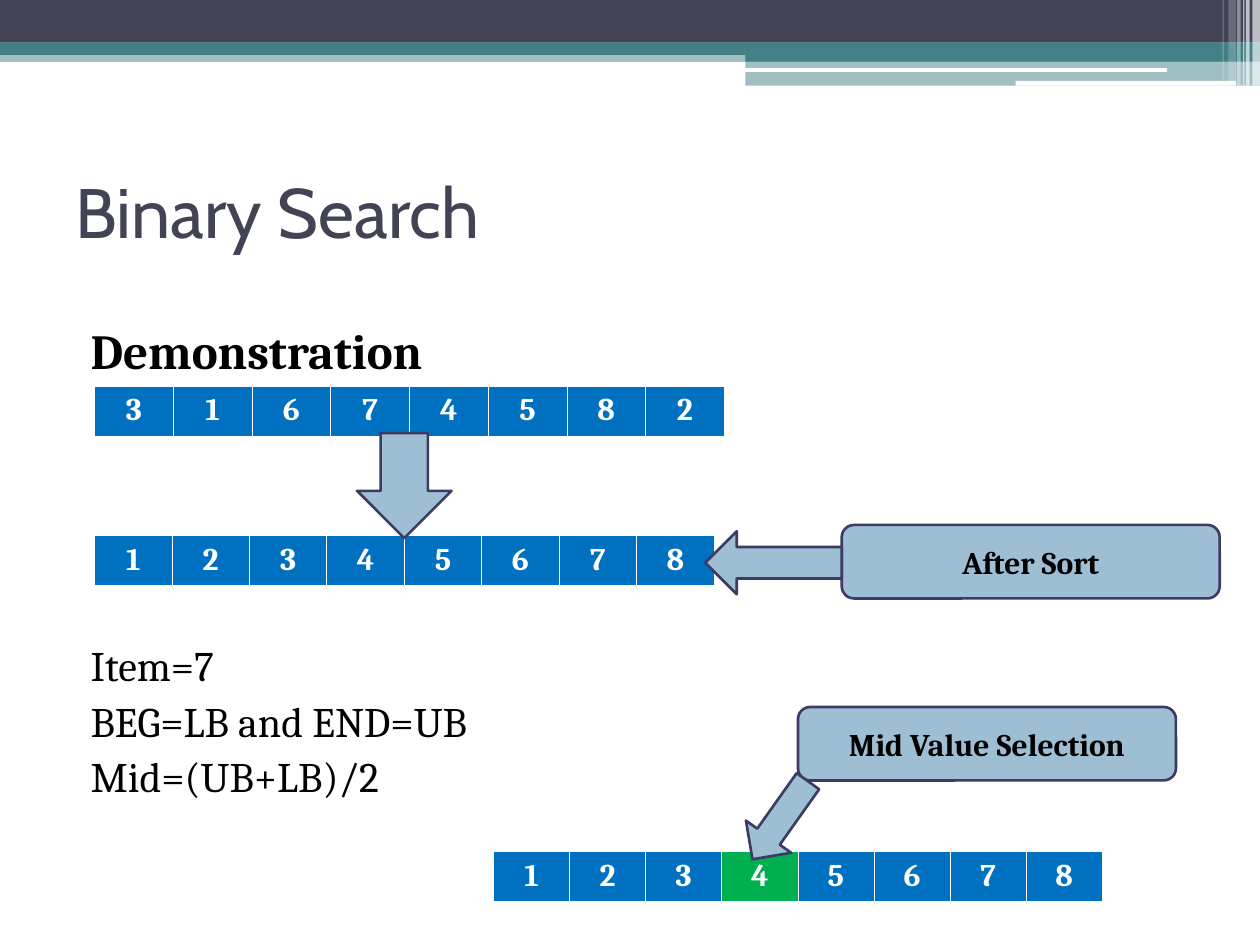
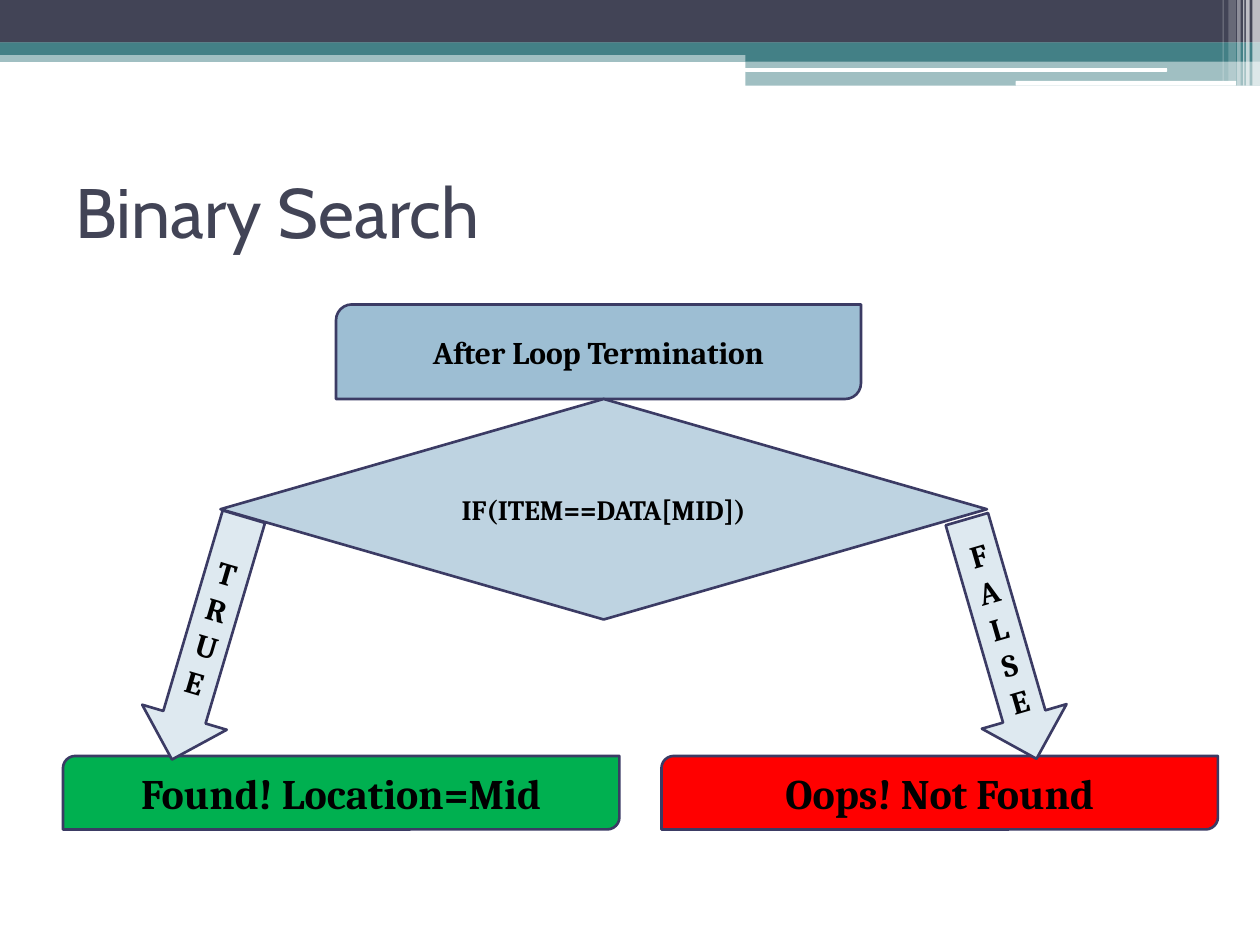
"""Build two slides that demonstrate binary search."""
from lxml import etree
from pptx import Presentation
from pptx.dml.color import RGBColor
from pptx.enum.shapes import MSO_SHAPE
from pptx.enum.text import MSO_ANCHOR, PP_ALIGN
from pptx.oxml.ns import qn
from pptx.util import Pt

RECT, ROUND = MSO_SHAPE.RECTANGLE, MSO_SHAPE.ROUNDED_RECTANGLE
DIAGONAL, DIAMOND = MSO_SHAPE.ROUND_2_DIAG_RECTANGLE, MSO_SHAPE.DIAMOND
DOWN, LEFT_ARROW = MSO_SHAPE.DOWN_ARROW, MSO_SHAPE.LEFT_ARROW
LEFT, CENTER = PP_ALIGN.LEFT, PP_ALIGN.CENTER
TOP, MIDDLE = MSO_ANCHOR.TOP, MSO_ANCHOR.MIDDLE

WHITE = RGBColor(0xFF, 0xFF, 0xFF)
BLACK = RGBColor(0x00, 0x00, 0x00)
SLATE = RGBColor(0x42, 0x44, 0x56)
TEAL = RGBColor(0x43, 0x80, 0x86)
NAVY = RGBColor(0x3B, 0x3B, 0x64)
BLUE = RGBColor(0x00, 0x70, 0xC0)
GREEN = RGBColor(0x00, 0xB0, 0x50)
RED = RGBColor(0xFF, 0x00, 0x00)
STEEL = RGBColor(0x9D, 0xBE, 0xD3)
PALE = RGBColor(0xBE, 0xD3, 0xE1)
MIST = RGBColor(0xDE, 0xE9, 0xF0)

TITLE = "Binary Search"
TITLE_FONT, BODY_FONT = "Cabin", "Cambria"
TITLE_BOX = (36, 78, 648, 84)

# kind, (left, top, width, height), fill, opacity in percent
BANDS = [
    (RECT, (0, 28.8, 720, 6.6), TEAL, 50),
    (RECT, (0, 0, 720, 24.4), SLATE, 100),
    (RECT, (0, 24.3, 720, 7.1), TEAL, 100),
    (RECT, (426, 28.3, 294, 6.8), TEAL, 100),
    (RECT, (426, 34.8, 294, 14.1), TEAL, 50),
    (ROUND, (425.7, 38.9, 241.2, 2.2), WHITE, 100),
    (ROUND, (580.4, 46.2, 126, 2.7), WHITE, 100),
    (RECT, (715.6, 0, 4.4, 48.9), WHITE, 65),
    (RECT, (712, 0, 2.1, 48.9), WHITE, 65),
    (RECT, (710.4, 0, 0.72, 48.9), WHITE, 60),
    (RECT, (706.9, 0, 2.1, 48.9), WHITE, 40),
    (RECT, (702, 0, 4.3, 46.2), WHITE, 20),
    (RECT, (698.6, 0, 0.72, 46.2), WHITE, 30),
]

# lines, (left, top, width, height), size, bold
NOTES = [
    (["Demonstration"], (51.8, 183, 400, 36), 28, True),
    (["Item=7", "BEG=LB and END=UB", "Mid=(UB+LB)/2"],
     (51.8, 365.5, 400, 96), 24, False),
]

# digits, left, top, cell width, highlighted digit
ARRAYS = [
    ("31674582", 54, 220.7, 45, None),
    ("12345678", 54, 306, 44.25, None),
    ("12345678", 282, 486.6, 43.5, "4"),
]
ROW_HEIGHT = 29.2

# kind, (left, top, width, height), fill, rotation, text, size
DEMO_SHAPES = [
    (ROUND, (481, 300, 216, 42), STEEL, 0, "After Sort", 18),
    (DOWN, (204, 247.5, 54, 60), STEEL, 0, "", 18),
    (LEFT_ARROW, (403, 303.6, 78, 36), STEEL, 0, "", 18),
    (ROUND, (456, 404, 216, 42), STEEL, 0, "Mid Value Selection", 18),
    (DOWN, (430, 441.4, 31.7, 54.7), STEEL, 35.4, "", 18),
]
RESULT_SHAPES = [
    (DIAGONAL, (192, 174, 300, 54), STEEL, 0, "After Loop Termination", 18),
    (DIAGONAL, (36, 432, 318, 42), GREEN, 0, "Found! Location=Mid", 24),
    (DIAMOND, (126, 228, 438, 126), PALE, 0, "IF(ITEM==DATA[MID])", 16),
    (DIAGONAL, (378, 432, 318, 42), RED, 0, "Oops! Not Found", 24),
    (DOWN, (93.6, 292.3, 50.4, 144.7), MIST, 16.5, "TRUE", 18),
    (DOWN, (547.2, 293.8, 50.4, 142.6), MIST, 343.8, "FALSE", 18),
]


def write(tf, lines, size=18, bold=True, color=BLACK, font=BODY_FONT,
          align=CENTER, anchor=MIDDLE, gap=0):
    """Fill a text frame with one paragraph per line."""
    tf.word_wrap = True
    tf.vertical_anchor = anchor
    for i, line in enumerate(lines):
        p = tf.add_paragraph() if i else tf.paragraphs[0]
        p.alignment = align
        p.space_before = Pt(gap if i else 0)
        r = p.add_run()
        r.text = line
        r.font.name, r.font.size, r.font.bold = font, Pt(size), bold
        r.font.color.rgb = color


def add_shape(slide, kind, box, fill, line=None):
    """Add a flat shape with an optional outline."""
    sp = slide.shapes.add_shape(kind, *map(Pt, box))
    sp.shadow.inherit = False
    sp.fill.solid()
    sp.fill.fore_color.rgb = fill
    if line is None:
        sp.line.fill.background()
    else:
        sp.line.color.rgb = line
        sp.line.width = Pt(1.5)
    return sp


def add_bands(slide, layout):
    """Draw the top bands and move them to the shared layout."""
    bands = []
    for kind, box, fill, opacity in BANDS:
        sp = add_shape(slide, kind, box, fill)
        if opacity < 100:
            clr = sp.element.spPr.find(qn("a:solidFill"))[0]
            etree.SubElement(clr, qn("a:alpha"), val=str(opacity * 1000))
        bands.append(sp.element)
    for band in bands:
        layout.shapes.element.append(band)


def add_titled_slide(prs, layout):
    """Add a slide with its formatted title."""
    slide = prs.slides.add_slide(layout)
    title = slide.shapes.title
    title.left, title.top, title.width, title.height = map(Pt, TITLE_BOX)
    write(title.text_frame, [TITLE], size=40, bold=False, color=SLATE,
          font=TITLE_FONT, align=LEFT)
    return slide


def add_labelled_shapes(slide, items):
    """Add outlined shapes with their labels."""
    for kind, box, fill, rotation, text, size in items:
        sp = add_shape(slide, kind, box, fill, NAVY)
        sp.rotation = rotation
        if text:
            write(sp.text_frame, [text], size=size)


def add_note(slide, lines, box, size, bold):
    """Add a text box without insets."""
    tf = slide.shapes.add_textbox(*map(Pt, box)).text_frame
    tf.margin_left = tf.margin_top = tf.margin_right = tf.margin_bottom = 0
    write(tf, lines, size=size, bold=bold, align=LEFT, anchor=TOP, gap=3)


def add_borders(cell):
    """Give a cell thin white borders with a heavier bottom one."""
    tc_pr = cell._tc.get_or_add_tcPr()
    for i, (side, width) in enumerate(
            [("L", 0.45), ("R", 0.45), ("T", 0.45), ("B", 1.47)]):
        ln = etree.Element(qn(f"a:ln{side}"), w=str(Pt(width)))
        fill = etree.SubElement(ln, qn("a:solidFill"))
        etree.SubElement(fill, qn("a:srgbClr"), val=str(WHITE))
        tc_pr.insert(i, ln)


def add_array(slide, digits, left, top, cell_width, marked):
    """Add a one-row table that shows an array."""
    n = len(digits)
    table = slide.shapes.add_table(
        1, n, Pt(left), Pt(top), Pt(cell_width * n), Pt(ROW_HEIGHT)).table
    table.first_row = table.horz_banding = False
    for col, digit in enumerate(digits):
        table.columns[col].width = Pt(cell_width)
        cell = table.cell(0, col)
        cell.fill.solid()
        cell.fill.fore_color.rgb = GREEN if digit == marked else BLUE
        add_borders(cell)
        write(cell.text_frame, [digit], color=WHITE, anchor=TOP)


def main():
    """Build and save the presentation."""
    prs = Presentation()
    prs.slide_width, prs.slide_height = Pt(720), Pt(540)
    layout = prs.slide_layouts[5]
    for ph in list(layout.placeholders)[1:]:
        layout.shapes.element.remove(ph.element)

    demo = add_titled_slide(prs, layout)
    add_bands(demo, layout)
    for note in NOTES:
        add_note(demo, *note)
    for array in ARRAYS:
        add_array(demo, *array)
    add_labelled_shapes(demo, DEMO_SHAPES)

    result = add_titled_slide(prs, layout)
    add_labelled_shapes(result, RESULT_SHAPES)
    prs.save("out.pptx")


if __name__ == "__main__":
    main()
